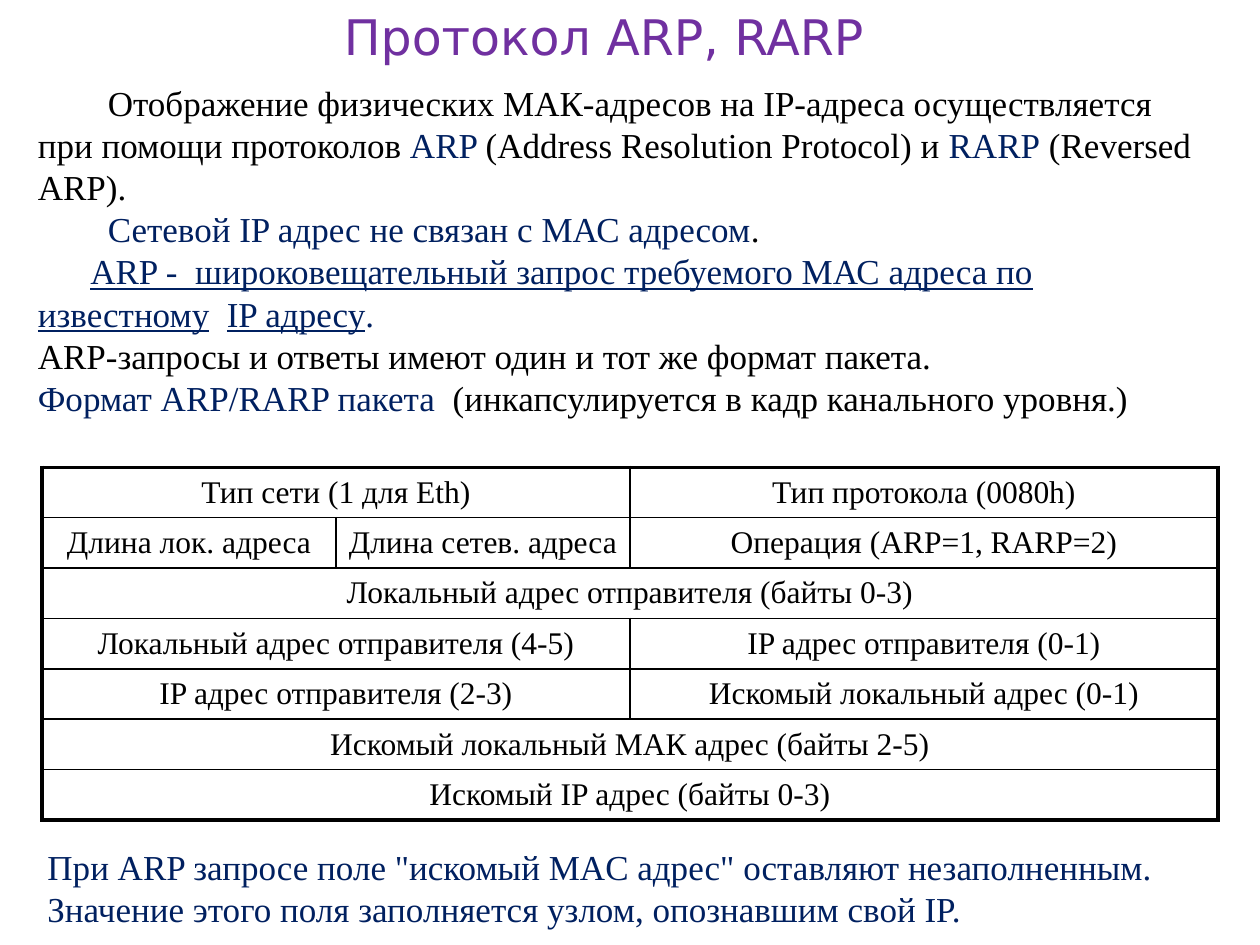
import pptx
import pptx.util
import pptx.dml.color
import pptx.enum.text
import pptx.oxml
import pptx.oxml.ns

Pt = pptx.util.Pt
ALIGN = pptx.enum.text.PP_ALIGN
ANCHOR = pptx.enum.text.MSO_ANCHOR
SERIF = "Times New Roman"
BLACK, NAVY, PURPLE = "000000", "002060", "7030A0"
THICK, THIN = 2.25, 1
NO_STYLE = "{2D5ABB26-0587-4C30-8999-92F81FD0307C}"

# Each paragraph: first-line indent, tab stop, then (text, colour, underlined) spans.
PARAGRAPHS = [
    (40, None, [
        ("Отображение физических МАК-адресов на IP-адреса осуществляется "
         "при помощи протоколов ", BLACK, False),
        ("ARP ", NAVY, False),
        ("(Address Resolution Protocol) и ", BLACK, False),
        ("RARP", NAVY, False),
        (" (Reversed ARP).", BLACK, False)]),
    (40, None, [
        ("Сетевой IP адрес не связан с МАС адресом", NAVY, False),
        (".", BLACK, False)]),
    (30, 148, [
        ("ARP -  широковещательный запрос требуемого МАС адреса "
         "по известному\tIP адресу", NAVY, True),
        (".", NAVY, False)]),
    (0, None, [
        ("ARP-запросы и ответы имеют один и тот же формат пакета.", BLACK, False)]),
    (0, None, [
        ("Формат ARP/RARP пакета  ", NAVY, False),
        ("(инкапсулируется в кадр канального уровня.)", BLACK, False)]),
]

COLUMN_WIDTHS = [168, 168, 336]
ROW_HEIGHT = 28.8
PACKET_ROWS = [
    [("Тип сети (1 для Eth)", 2), ("Тип протокола (0080h)", 1)],
    [("Длина лок. адреса", 1), ("Длина сетев. адреса", 1),
     ("Операция (ARP=1, RARP=2)", 1)],
    [("Локальный адрес отправителя (байты 0-3)", 3)],
    [("Локальный адрес отправителя (4-5)", 2), ("IP адрес отправителя (0-1)", 1)],
    [("IP адрес отправителя (2-3)", 2), ("Искомый локальный адрес (0-1)", 1)],
    [("Искомый локальный МАК адрес (байты 2-5)", 3)],
    [("Искомый IP адрес (байты 0-3)", 3)],
]


def colour(value):
    return pptx.dml.color.RGBColor.from_string(value)


def style(font, size, value, name=SERIF):
    font.size = Pt(size)
    font.name = name
    font.color.rgb = colour(value)


def place(box, left, top, width, height):
    box.left, box.top, box.width, box.height = map(Pt, (left, top, width, height))
    frame = box.text_frame
    frame.word_wrap = True
    frame.auto_size = pptx.enum.text.MSO_AUTO_SIZE.NONE
    frame.vertical_anchor = ANCHOR.TOP
    return frame


def xml(text):
    return pptx.oxml.parse_xml(text.replace(
        "NS", pptx.oxml.ns.nsdecls("a"), 1))


def set_lines(para):
    para.line_spacing = Pt(24)
    para.space_before = Pt(0)


def add_title(page):
    frame = place(page.shapes.title, 42.5, 0, 605, 41)
    frame.text = "Протокол ARP, RARP"
    para = frame.paragraphs[0]
    para.alignment = ALIGN.CENTER
    style(para.runs[0].font, 28, PURPLE, "DejaVu Sans")


def add_body(page):
    frame = place(page.placeholders[1], 14.4, 43.2, 686, 250)
    frame.margin_right = Pt(16)
    for index, (indent, tab, spans) in enumerate(PARAGRAPHS):
        para = frame.paragraphs[0] if index == 0 else frame.add_paragraph()
        set_lines(para)
        properties = para._p.get_or_add_pPr()
        properties.set("marL", "0")
        properties.set("indent", str(int(Pt(indent))))
        properties.append(xml("<a:buNone NS/>"))
        if tab:
            properties.append(xml(
                f'<a:tabLst NS><a:tab pos="{int(Pt(tab))}" algn="l"/></a:tabLst>'))
        for text, value, underlined in spans:
            span = para.add_run()
            span.text = text
            style(span.font, 20, value)
            span.font.underline = underlined


def set_borders(cell, widths):
    properties = cell._tc.get_or_add_tcPr()
    for side, width in zip("LRTB", widths):
        properties.append(xml(
            f'<a:ln{side} NS w="{int(Pt(width))}"><a:solidFill>'
            f'<a:srgbClr val="{BLACK}"/></a:solidFill></a:ln{side}>'))


def fill_cell(cell, text, widths):
    set_borders(cell, widths)
    cell.fill.background()
    cell.vertical_anchor = ANCHOR.MIDDLE
    cell.margin_left = cell.margin_right = Pt(4)
    cell.text_frame.text = text
    para = cell.text_frame.paragraphs[0]
    para.alignment = ALIGN.CENTER
    style(para.runs[0].font, 18, BLACK)


def add_packet_table(page):
    rows, columns = len(PACKET_ROWS), len(COLUMN_WIDTHS)
    table = page.shapes.add_table(
        rows, columns, Pt(24), Pt(267),
        Pt(sum(COLUMN_WIDTHS)), Pt(rows * ROW_HEIGHT)).table
    table.first_row = table.horz_banding = False
    table._tbl.tblPr.find(pptx.oxml.ns.qn("a:tableStyleId")).text = NO_STYLE
    for column, width in zip(table.columns, COLUMN_WIDTHS):
        column.width = Pt(width)
    for row, fields in enumerate(PACKET_ROWS):
        table.rows[row].height = Pt(ROW_HEIGHT)
        start = 0
        for text, span in fields:
            end = start + span
            cell = table.cell(row, start)
            if span > 1:
                cell.merge(table.cell(row, end - 1))
            outer = (start == 0, end == columns, row == 0, row == rows - 1)
            fill_cell(cell, text, [THICK if edge else THIN for edge in outer])
            start = end


def add_note(page):
    box = page.shapes.add_textbox(0, 0, 0, 0)
    frame = place(box, 20, 479.5, 669, 55.5)
    frame.text = ('При ARP запросе поле "искомый MAC адрес" оставляют незаполненным. '
                  "Значение этого поля заполняется узлом, опознавшим свой IP.")
    para = frame.paragraphs[0]
    set_lines(para)
    style(para.runs[0].font, 20, NAVY)


def main():
    deck = pptx.Presentation()
    deck.slide_width, deck.slide_height = Pt(720), Pt(540)
    page = deck.slides.add_slide(deck.slide_layouts[1])
    add_title(page)
    add_body(page)
    add_packet_table(page)
    add_note(page)
    deck.save("out.pptx")


if __name__ == "__main__":
    main()
